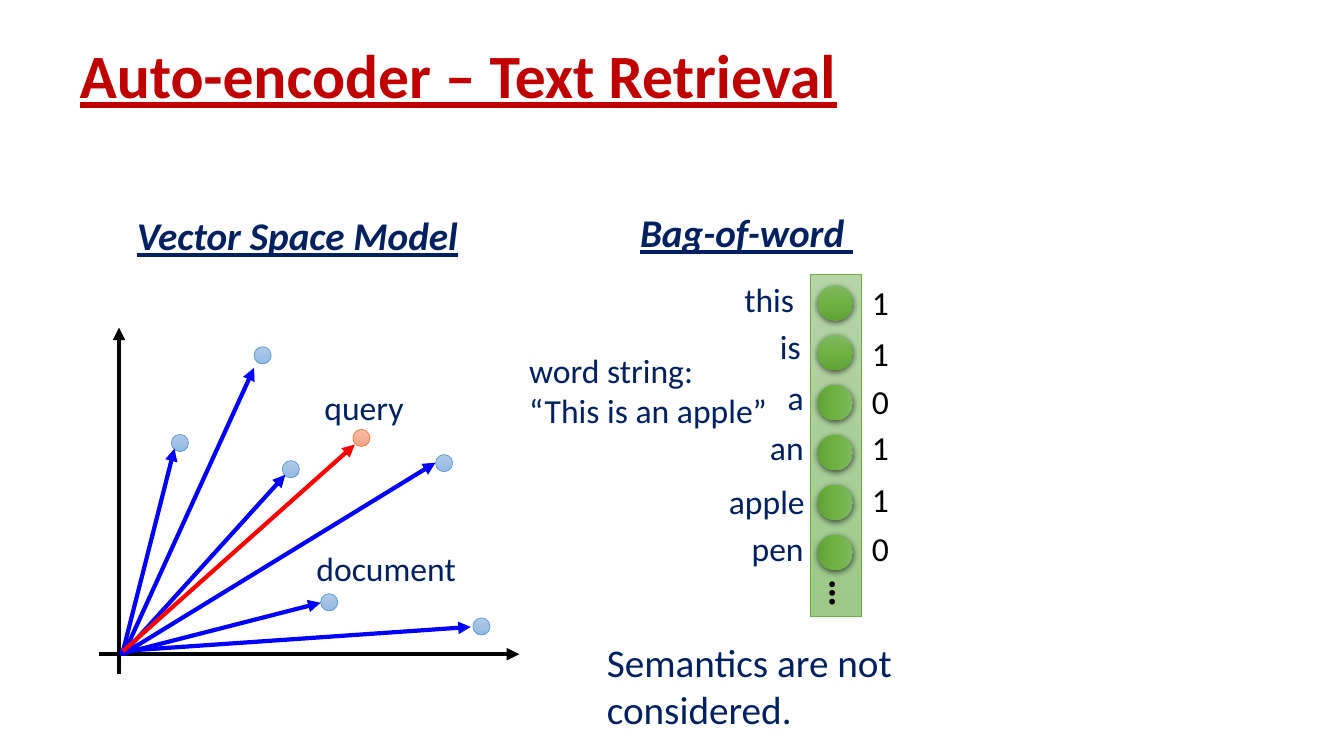
from lxml import etree
from pptx import Presentation
from pptx.dml.color import RGBColor
from pptx.enum.shapes import MSO_CONNECTOR, MSO_SHAPE
from pptx.enum.text import MSO_AUTO_SIZE, PP_ALIGN
from pptx.oxml import parse_xml
from pptx.oxml.ns import nsdecls, qn
from pptx.util import Inches, Pt

LEFT, MID, RIGHT = PP_ALIGN.LEFT, PP_ALIGN.CENTER, PP_ALIGN.RIGHT
FIT = MSO_AUTO_SIZE.SHAPE_TO_FIT_TEXT
RECT, OVAL = MSO_SHAPE.RECTANGLE, MSO_SHAPE.OVAL
LINE = MSO_CONNECTOR.STRAIGHT
CELL = Inches(0.1)  # the slide is a grid of 133.3 columns by 75 rows
NAVY, BLACK, BLUE, RED = "002060", "000000", "0000FF", "FF0000"
DOWN, BACK = 90, 180  # clockwise gradient directions

deck = Presentation()
deck.slide_width, deck.slide_height = Inches(13.33), Inches(7.5)
slide = deck.slides.add_slide(deck.slide_layouts[6])
shapes = slide.shapes


def label(text, col, row, wide, high, size=24, tone=NAVY, align=LEFT):
    box = shapes.add_textbox(*[int(n * CELL) for n in (col, row, wide, high)])
    frame = box.text_frame
    frame.word_wrap = True
    frame.auto_size = FIT
    frame.text = text
    for para in frame.paragraphs:
        para.alignment = align
        para.font.name, para.font.size = "Calibri", Pt(size)
        para.font.color.rgb = RGBColor.from_string(tone)
    return box


def shade(kind, col, row, wide, high, tones, edge=None, turn=DOWN):
    """Add a shape with a three-stop gradient and a thin or no outline."""
    form = shapes.add_shape(kind, *[int(n * CELL) for n in (col, row, wide, high)])
    form.shadow.inherit = False
    form.fill.solid()
    stops = "".join(f'<a:gs pos="{pos}"><a:srgbClr val="{tone}"/></a:gs>'
                    for pos, tone in zip((0, 50000, 100000), tones))
    grad = parse_xml(f'<a:gradFill {nsdecls("a")} rotWithShape="1"><a:gsLst>{stops}'
                     f'</a:gsLst><a:lin ang="{turn * 60000}" scaled="0"/></a:gradFill>')
    props = form.element.spPr
    props.replace(props.find(qn("a:solidFill")), grad)
    if edge:
        form.line.color.rgb = RGBColor.from_string(edge)
        form.line.width = Pt(0.5)
    else:
        form.line.fill.background()
    return form


# Headings
title = label("Auto-encoder – Text Retrieval", 6.9, 4, 86.2, 14.5, 44, "C00000")
title.text_frame.auto_size = MSO_AUTO_SIZE.NONE
head = title.text_frame.paragraphs[0]
head.line_spacing = 0.9
head.font.bold = head.font.underline = True

model = label("Vector Space Model", 12.6, 20.5, 36.1, 5.7, 28)
bag = label("Bag-of-word ", 62.5, 20.2, 23.4, 5.7, 28)
bag.text_frame.word_wrap = False
for box in (model, bag):
    font = box.text_frame.paragraphs[0].font
    font.bold = font.italic = font.underline = True

# Bag of words: word, its right edge and row, its bit, the bit's row
label("word string:\n“This is an apple”", 51.5, 34.2, 31.1, 9.1)
shade(RECT, 80.4, 27.2, 5, 34, ("B5D5A7", "AACE9A", "9CC987"), "70AD47")
words = [
    ("this ", 80.5, 27.2, "1", 27.5),
    ("is", 80.4, 31.8, "1", 32.5),
    ("a", 80.7, 36.9, "0", 37.3),
    ("an", 80.7, 41.9, "1", 41.9),
    ("apple", 80.8, 47.2, "1", 47),
    ("pen", 80.7, 51.9, "0", 51.9),
]
for i, (word, edge, row, bit, drop) in enumerate(words):
    ball = shade(OVAL, 81.1, 28.3 + 4.95 * i, 3.5, 3.5,
                 ("81B861", "6FB242", "62A336"), turn=DOWN if i < 2 else BACK)
    glow = ball.element.spPr.find(qn("a:effectLst"))
    glow.append(parse_xml(
        f'<a:outerShdw {nsdecls("a")} blurRad="{Pt(4.5)}" dist="{Pt(1.5)}" '
        'dir="5400000" algn="ctr" rotWithShape="0"><a:srgbClr val="000000">'
        '<a:alpha val="63000"/></a:srgbClr></a:outerShdw>'))
    label(word, edge - 10.6, row, 10.6, 5, align=RIGHT)
    label(bit, 85.5, drop, 3.3, 5, tone=BLACK)
more = label("…", 81.5, 56, 4.6, 5.7, 28, BLACK)
more.rotation = 90
more.text_frame.paragraphs[0].font.bold = True
label("Semantics are not considered.", 59.2, 62.8, 35.2, 10.4, 28)

# Vector space: the dots, then axes and vectors as start, tip and colour
dots = [(25.2, 34.4), (28, 45.7), (43.2, 45.1), (17, 43.1), (31.8, 58.9), (46.9, 61.3)]
for col, row in dots:
    shade(OVAL, col, row, 1.7, 1.7, ("B1CBE9", "A3C1E5", "93B9E4"), "5B9BD5")
shade(OVAL, 35, 42.6, 1.7, 1.7, ("F7BDA5", "F5B196", "F8A582"), "ED7D31")

arrows = [
    (9.8, 64.9, 51.5, 64.9, BLACK),
    (11.8, 66.9, 11.8, 32.5, BLACK),
    (12.2, 64.6, 17.3, 44.5, BLUE),
    (11.9, 64.9, 31.8, 59.8, BLUE),
    (11.9, 64.6, 46.7, 62.2, BLUE),
    (12.2, 64.9, 43.2, 45.9, BLUE),
    (12.4, 64.6, 25.2, 36.5, BLUE),
    (12.2, 64.9, 28.3, 47.1, BLUE),
    (12.2, 64.6, 35.2, 44.1, RED),
]
for *ends, tone in arrows:
    arrow = shapes.add_connector(LINE, *[int(n * CELL) for n in ends])
    arrow.line.color.rgb = RGBColor.from_string(tone)
    arrow.line.width = Pt(3)
    etree.SubElement(arrow.line._get_or_add_ln(), qn("a:tailEnd"), type="triangle")
    etree.SubElement(arrow.element.spPr, qn("a:effectLst"))

label("document", 30.4, 53.9, 16.2, 5)
label("query", 28, 37.9, 16.2, 5, align=MID)

deck.save("out.pptx")
